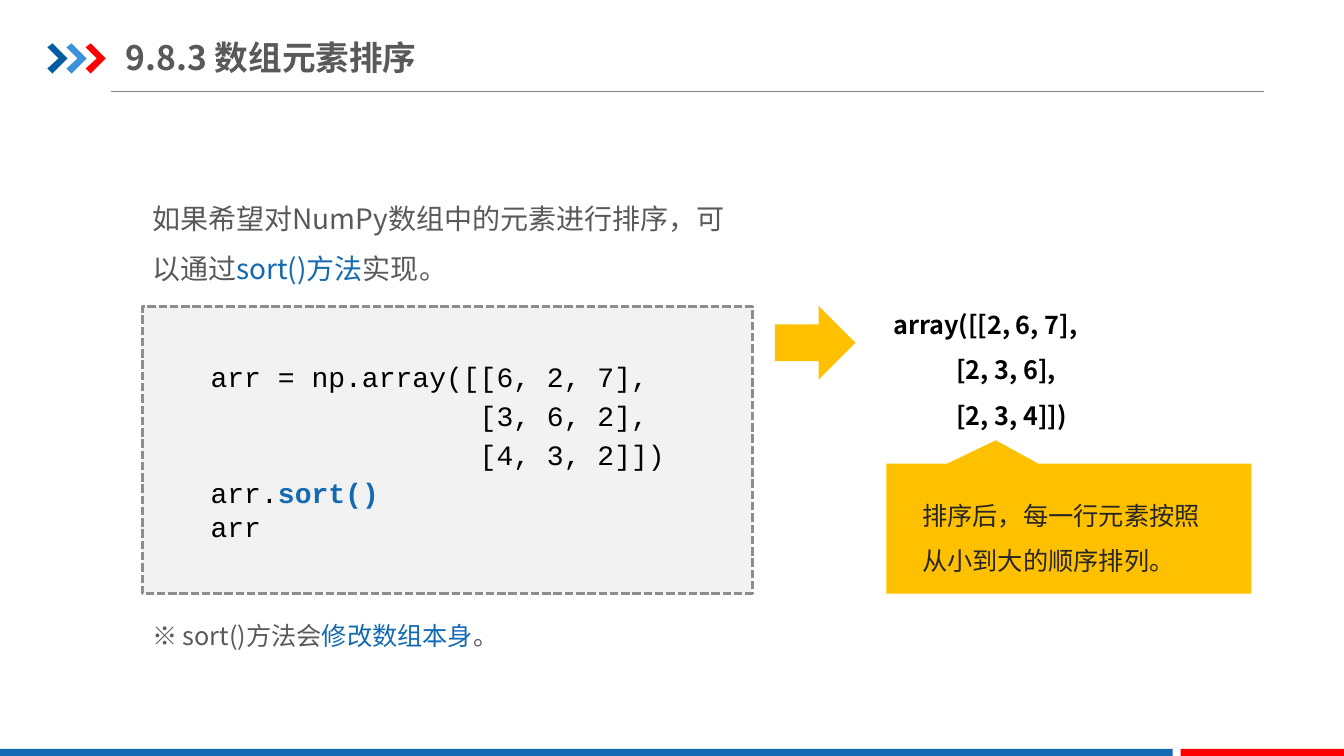
from pptx import Presentation
from pptx.dml.color import RGBColor
from pptx.enum.dml import MSO_LINE as Dash
from pptx.enum.shapes import MSO_CONNECTOR as Link, MSO_SHAPE as Kind
from pptx.enum.text import MSO_ANCHOR as Anchor, MSO_AUTO_SIZE as Auto
from pptx.oxml.ns import qn
from pptx.util import Pt
from lxml.etree import SubElement

PX = 9144  # 100 px to the inch
SANS, MONO = "Noto Sans CJK SC", "Courier New"
BLUE, RED, GOLD = "1369B2", "FF0000", "FFC000"
GRAY, BLACK = "595959", "000000"


def px(*nums):
    return [round(n * PX) for n in nums]


def tint(code):
    return RGBColor.from_string(code)


def paint(shape, fill):
    shape.shadow.inherit = False
    shape.fill.solid()
    shape.fill.fore_color.rgb = tint(fill)
    shape.line.fill.background()
    return shape


def block(slide, kind, box, fill):
    return paint(slide.shapes.add_shape(kind, *px(*box)), fill)


def write(slide, box, paras, size=18, font=SANS, color=GRAY, bold=False,
          gaps=1.5, wrap=True, inset=None, anchor=Anchor.TOP, grow=True):
    """Each paragraph is a list of runs: plain text or (text, color, bold)."""
    frame = slide.shapes.add_textbox(*px(*box)).text_frame
    frame.word_wrap = wrap
    frame.vertical_anchor = anchor
    frame.auto_size = Auto.SHAPE_TO_FIT_TEXT if grow else Auto.NONE
    if inset is not None:
        frame.margin_left = frame.margin_right = px(inset)[0]
    for i, runs in enumerate(paras):
        para = frame.paragraphs[0] if i == 0 else frame.add_paragraph()
        para.line_spacing = gaps[i] if isinstance(gaps, list) else gaps
        for part in runs:
            text, hue, heavy = (part, color, bold) if isinstance(part, str) else part
            run = para.add_run()
            run.text = text
            run.font.size = Pt(size)
            run.font.name = font
            run.font.bold = heavy
            run.font.color.rgb = tint(hue)
            SubElement(run.font._element, qn("a:ea")).set("typeface", font)


def header(slide, x, y):
    # Rule under the title
    rule = slide.shapes.add_connector(
        Link.STRAIGHT, *px(x + 63, y + 48, x + 1207, y + 48))
    rule.line.color.rgb = tint("808080")
    rule.line.width = Pt(0.75)
    SubElement(rule._element.spPr, qn("a:effectLst"))
    # Three chevrons
    edge = [(0, 4), (5, 0), (20, 15), (5, 30), (0, 25), (11, 15)]
    for i, fill in enumerate(["005DA2", "3992DB", RED]):
        spots = [(x + 19 * i + dx, y + dy) for dx, dy in edge]
        path = slide.shapes.build_freeform(*spots[0], scale=PX)
        path.add_line_segments(spots[1:], close=True)
        paint(path.convert_to_shape(), fill)
    # Title
    write(slide, (x + 78, y - 14, 557, 55), [["9.8.3 数组元素排序"]], size=24,
          bold=True, gaps=1.0, inset=0, anchor=Anchor.MIDDLE, grow=False)


def footer(slide, y, tall):
    block(slide, Kind.RECTANGLE, (0, y, 1163, tall), BLUE)
    block(slide, Kind.RECTANGLE, (1171, y, 163, tall), RED)


def lesson(slide, x, y, wide):
    # Introduction
    write(slide, (x, y, wide, 111),
          [["如果希望对NumPy数组中的元素进行排序，可以通过",
            ("sort()方法", BLUE, False), "实现。"]], size=20)
    # Code panel
    panel = block(slide, Kind.RECTANGLE, (x, y + 126, wide, 285), "F2F2F2")
    panel.line.color.rgb = tint("8D8D8D")
    panel.line.width = Pt(2)
    panel.line.dash_style = Dash.SQUARE_DOT
    write(slide, (x + 58, y + 169, 488, 199),
          [["arr = np.array([[6, 2, 7],"],
           ["                [3, 6, 2],"],
           ["                [4, 3, 2]])"],
           ["arr.", ("sort()", BLUE, True)],
           ["arr"]],
          size=20, font=MONO, color=BLACK, gaps=[1.15] * 4 + [1.0])
    # Note
    write(slide, (x, y + 417, 373, 56),
          [["※ sort()方法会", ("修改数组本身", BLUE, False), "。"]], wrap=False)


def result(slide, x, y):
    # Arrow from code to output
    arrow = block(slide, Kind.DOWN_ARROW, (x, y + 13, 73, 80), GOLD)
    arrow.rotation = 270
    # Output
    write(slide, (x + 104, y, 252, 141),
          [["array([[2, 6, 7],"],
           ["           [2, 3, 6],"],
           ["           [2, 3, 4]])"]], color=BLACK, bold=True)
    # Callout
    call = block(slide, Kind.RECTANGULAR_CALLOUT, (x + 107, y + 173, 362, 129), GOLD)
    call.adjustments[0] = -0.2
    call.adjustments[1] = -0.68
    write(slide, (x + 133, y + 189, 310, 96),
          [["排序后，每一行元素按照从小到大的顺序排列。"]], color="262626")


def main():
    deck = Presentation()
    deck.slide_width, deck.slide_height = px(1333, 750)
    slide = deck.slides.add_slide(deck.slide_layouts[6])
    header(slide, 47, 43)
    footer(slide, 743, 9)
    lesson(slide, 141, 178, 605)
    result(slide, 772, 287)
    deck.save("out.pptx")


if __name__ == "__main__":
    main()
